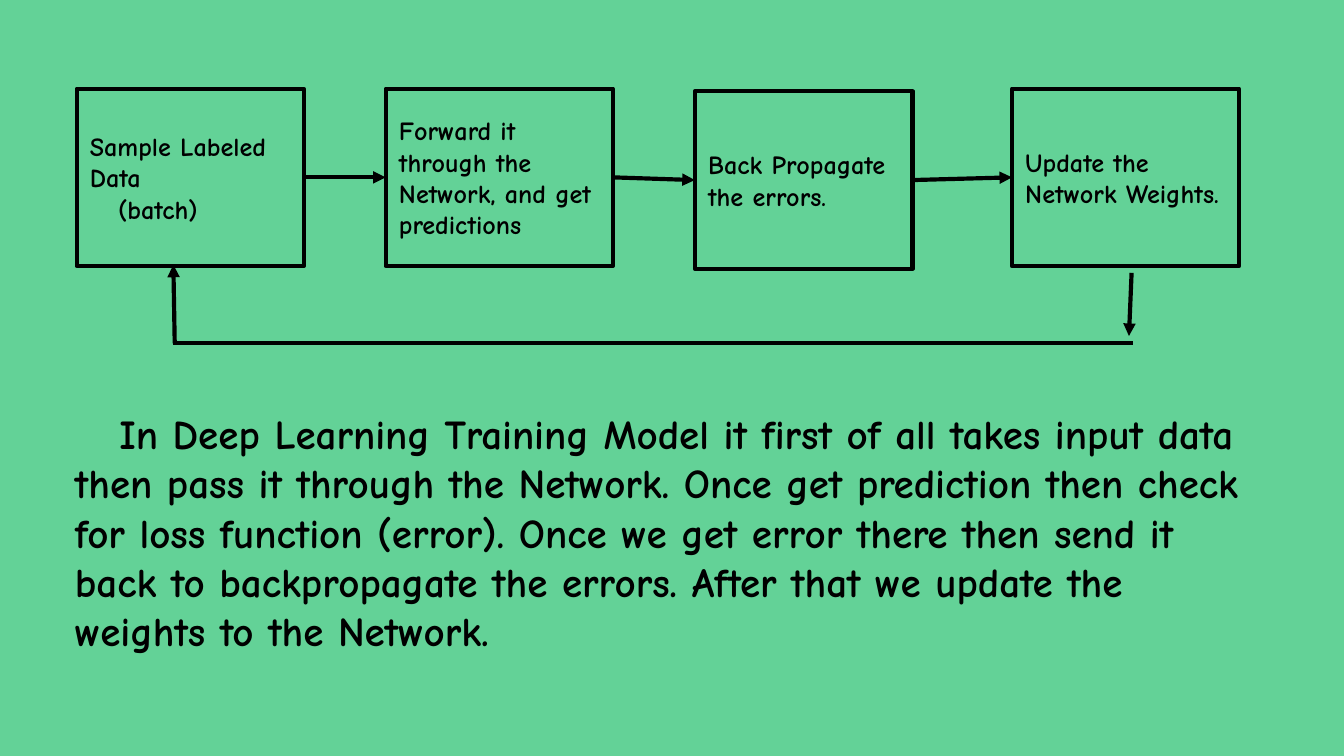
from dataclasses import dataclass

from lxml.etree import SubElement
from pptx import Presentation
from pptx.dml.color import RGBColor
from pptx.enum.shapes import MSO_CONNECTOR as CONN, MSO_SHAPE as SHAPE
from pptx.enum.text import MSO_ANCHOR as ANCHOR, PP_ALIGN as ALIGN
from pptx.oxml.ns import qn
from pptx.util import Inches, Pt


@dataclass(frozen=True)
class Theme:
    green: RGBColor = RGBColor(0x63, 0xD2, 0x97)
    black: RGBColor = RGBColor(0, 0, 0)
    font: str = "Comic Neue"
    step_size: int = 14
    body_size: int = 22
    stroke: float = 2.25


THEME = Theme()
WIDTH = Inches(10)
HEIGHT = WIDTH * 9 // 16
LEFT_SITE, RIGHT_SITE = 1, 3
STEP_TOP, STEP_WIDTH, STEP_HEIGHT = 6.6, 16.9, 13.2
FIRST_LEFT, STEP_PITCH = 5.7, 23
LOOP_Y = 25.55

STEPS = [
    ("Sample Labeled Data\n(batch)", 0, 0, 0),
    ("Forward it through the Network, and get predictions", 0, 0, 0),
    ("Back Propagate the errors.", 0, 0.2, -0.7),
    ("Update the Network Weights.", 0.6, 0, 0),
]
SUMMARY = (
    "In Deep Learning Training Model it first of all takes input data "
    "then pass it through the Network. Once get prediction then check "
    "for loss function (error). Once we get error there then send it "
    "back to backpropagate the errors. After that we update the "
    "weights to the Network."
)


def share(*percents):
    return [round(WIDTH * percent / 100) for percent in percents]


def write(sp, text, size, anchor):
    tf = sp.text_frame
    tf.word_wrap = True
    tf.vertical_anchor = anchor
    tf.margin_left = tf.margin_right = Inches(0.1)
    tf.margin_top = tf.margin_bottom = Inches(0.1)
    tf.text = text
    for p in tf.paragraphs:
        p.alignment = ALIGN.LEFT
        for r in p.runs:
            r.font.name = THEME.font
            r.font.size = Pt(size)
            r.font.bold = True
            r.font.color.rgb = THEME.black
    return tf


def indent(p, inches):
    p_pr = p._p.get_or_add_pPr()
    p_pr.set("marL", "0")
    p_pr.set("indent", str(Inches(inches)))


def add_step(slide, index, text, shift_x, shift_y, widen):
    left = FIRST_LEFT + index * STEP_PITCH + shift_x
    sp = slide.shapes.add_shape(
        SHAPE.RECTANGLE,
        *share(left, STEP_TOP + shift_y, STEP_WIDTH + widen, STEP_HEIGHT),
    )
    sp.shadow.inherit = False
    sp.fill.solid()
    sp.fill.fore_color.rgb = THEME.green
    sp.line.color.rgb = THEME.black
    sp.line.width = Pt(THEME.stroke)
    write(sp, text, THEME.step_size, ANCHOR.MIDDLE)
    return sp


def add_line(slide, start=(0, 0), end=(0, 0), arrow=True):
    line = slide.shapes.add_connector(CONN.STRAIGHT, *share(*start, *end))
    line.line.color.rgb = THEME.black
    line.line.width = Pt(THEME.stroke)
    if arrow:
        SubElement(line.line._get_or_add_ln(), qn("a:tailEnd"), type="triangle")
    SubElement(line._element.spPr, qn("a:effectLst"))
    return line


def link(slide, source, target):
    line = add_line(slide)
    line.begin_connect(source, RIGHT_SITE)
    line.end_connect(target, LEFT_SITE)


def add_summary(slide):
    sp = slide.shapes.add_textbox(*share(4.6, 29.4, 90.3, 23.8))
    tf = write(sp, SUMMARY, THEME.body_size, ANCHOR.TOP)
    indent(tf.paragraphs[0], 0.33)


def main():
    prs = Presentation()
    prs.slide_width, prs.slide_height = WIDTH, HEIGHT
    slide = prs.slides.add_slide(prs.slide_layouts[6])
    slide.background.fill.solid()
    slide.background.fill.fore_color.rgb = THEME.green

    steps = [add_step(slide, i, *step) for i, step in enumerate(STEPS)]
    indent(steps[0].text_frame.paragraphs[1], 0.21)
    for source, target in zip(steps, steps[1:]):
        link(slide, source, target)

    add_line(slide, (12.9, LOOP_Y), (84.3, LOOP_Y), arrow=False)
    add_line(slide, (84.2, 20.3), (84, 25))
    add_line(slide, (13, LOOP_Y), (12.9, 19.7))
    add_summary(slide)
    prs.save("out.pptx")


main()
